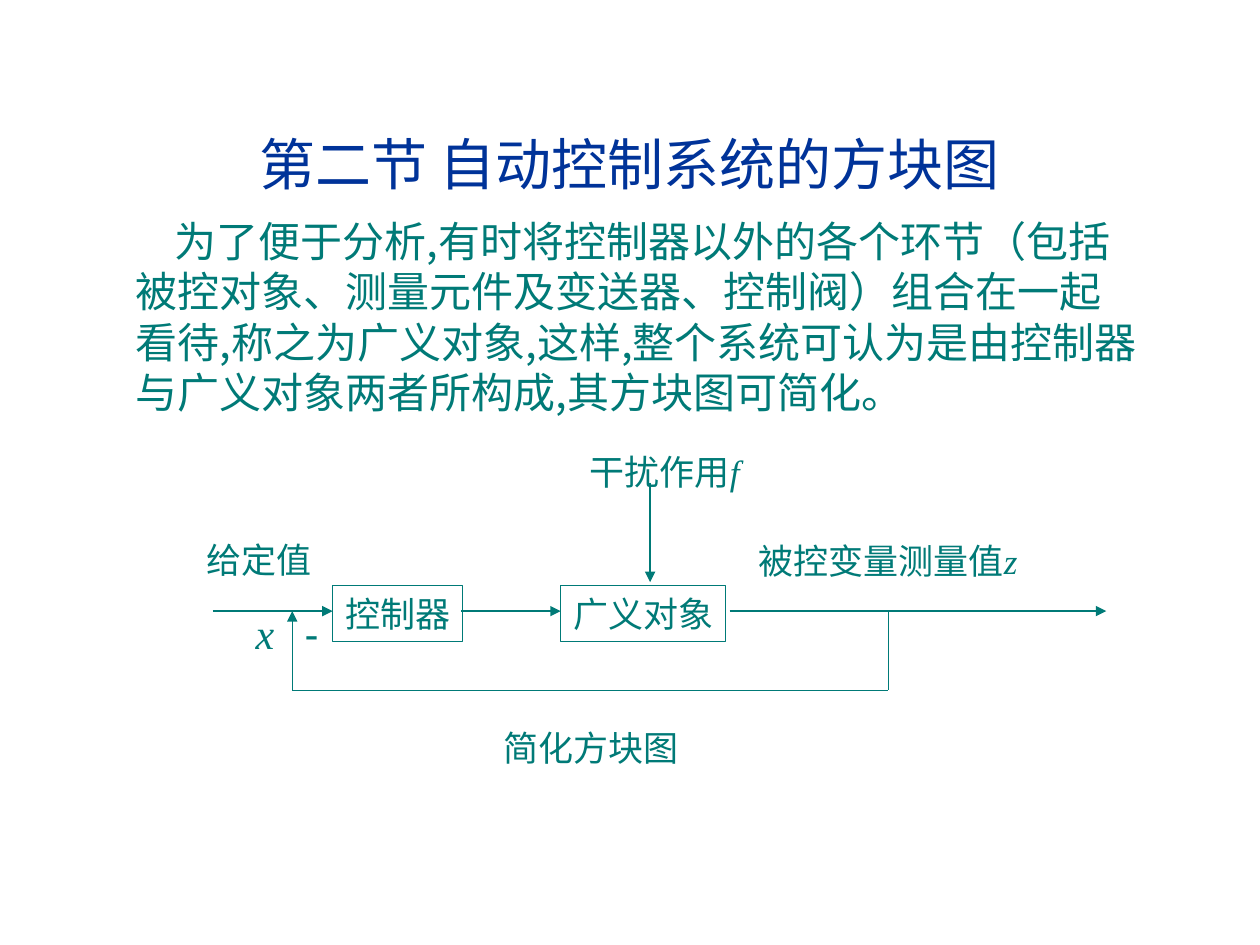
from dataclasses import dataclass

from lxml import etree
from pptx import Presentation
from pptx.dml.color import RGBColor
from pptx.enum import shapes, text
from pptx.oxml import ns
from pptx.util import Inches, Pt


@dataclass(frozen=True)
class Theme:
    title: RGBColor = RGBColor(0x00, 0x33, 0x99)
    ink: RGBColor = RGBColor(0x00, 0x7A, 0x77)
    title_size: int = 32
    body_size: int = 24
    label_size: int = 20
    line_width: float = 0.75
    sans: str = "Arial"
    cjk: str = "Noto Sans CJK SC"
    serif: str = "Times New Roman"


THEME = Theme()


@dataclass(frozen=True)
class Label:
    words: str
    left: float
    top: float
    width: float
    height: float = 0.44
    symbol: str = ""  # italic variable after the words
    size: int = THEME.label_size
    color: RGBColor = THEME.ink
    font: str = THEME.sans
    wrap: bool = False
    framed: bool = False
    anchor: text.MSO_ANCHOR = text.MSO_ANCHOR.MIDDLE
    align: text.PP_ALIGN = text.PP_ALIGN.LEFT
    indent: float = 0


@dataclass(frozen=True)
class Link:
    start: tuple[float, float]
    end: tuple[float, float]
    arrow: bool = True


def draw_label(slide, label: Label) -> None:
    place = [Inches(v) for v in (label.left, label.top, label.width, label.height)]
    if label.framed:
        holder = slide.shapes.add_shape(shapes.MSO_SHAPE.RECTANGLE, *place)
        holder.shadow.inherit = False
        holder.fill.background()
        holder.line.color.rgb = THEME.ink
        holder.line.width = Pt(THEME.line_width)
    else:
        holder = slide.shapes.add_textbox(*place)

    frame = holder.text_frame
    frame.word_wrap = label.wrap
    frame.auto_size = text.MSO_AUTO_SIZE.NONE
    frame.vertical_anchor = label.anchor
    if not label.wrap:
        frame.margin_right = Inches(0.05)  # room to keep the label on one line

    line = frame.paragraphs[0]
    line.alignment = label.align
    if label.indent:
        line._p.get_or_add_pPr().set("indent", str(Inches(label.indent)))
    line.font.size = Pt(label.size)
    line.font.color.rgb = label.color
    line.font.name = label.font
    if label.words:
        line.add_run().text = label.words
    if label.symbol:
        variable = line.add_run()
        variable.text = label.symbol
        variable.font.name = THEME.serif
        variable.font.italic = True


def draw_link(slide, link: Link) -> None:
    points = [Inches(v) for v in (*link.start, *link.end)]
    connector = slide.shapes.add_connector(shapes.MSO_CONNECTOR.STRAIGHT, *points)
    connector.line.color.rgb = THEME.ink
    connector.line.width = Pt(THEME.line_width)
    if link.arrow:
        outline = connector.line._get_or_add_ln()
        etree.SubElement(outline, ns.qn("a:tailEnd"), type="triangle")
    etree.SubElement(connector._element.spPr, ns.qn("a:effectLst"))


# Heading and explanation
PROSE = [
    Label("第二节 自动控制系统的方块图", 0.33, 0.67, 9.34, 1.25, size=THEME.title_size,
          color=THEME.title, wrap=True, align=text.PP_ALIGN.CENTER),
    Label("为了便于分析,有时将控制器以外的各个环节（包括被控对象、测量元件及变送器、"
          "控制阀）组合在一起看待,称之为广义对象,这样,整个系统可认为是由控制器与"
          "广义对象两者所构成,其方块图可简化。", 0.98, 1.66, 8.19, 2.1,
          size=THEME.body_size, font=THEME.cjk, wrap=True,
          anchor=text.MSO_ANCHOR.TOP, indent=0.31),
]

# Blocks, signal names and caption
DIAGRAM = [
    Label("控制器", 2.64, 4.65, 1.03, framed=True),
    Label("广义对象", 4.45, 4.65, 1.31, framed=True),
    Label("被控变量测量值", 5.92, 4.23, 2.32, symbol="z"),
    Label("给定值", 1.54, 4.22, 1.03),
    Label("干扰作用", 4.58, 3.52, 1.45, symbol="f"),
    Label("-", 2.32, 4.77, 0.31, 0.5, size=THEME.body_size, wrap=True),
    Label("", 1.93, 4.77, 0.35, 0.5, symbol="x", size=THEME.body_size),
    Label("简化方块图", 3.9, 5.72, 2.76, font=THEME.cjk, wrap=True,
          anchor=text.MSO_ANCHOR.TOP),
]

# Signal path and feedback loop
SIGNAL_Y, FEEDBACK_Y = 4.85, 5.48
SUM_X, BRANCH_X, DISTURBANCE_X = 2.32, 7.05, 5.16
LINKS = [
    Link((1.69, SIGNAL_Y), (2.64, SIGNAL_Y)),
    Link((3.66, SIGNAL_Y), (4.45, SIGNAL_Y)),
    Link((5.79, SIGNAL_Y), (8.78, SIGNAL_Y)),
    Link((DISTURBANCE_X, 3.83), (DISTURBANCE_X, 4.62)),
    Link((BRANCH_X, SIGNAL_Y), (BRANCH_X, FEEDBACK_Y), arrow=False),
    Link((SUM_X, FEEDBACK_Y), (BRANCH_X, FEEDBACK_Y), arrow=False),
    Link((SUM_X, FEEDBACK_Y), (SUM_X, SIGNAL_Y)),
]


def main() -> None:
    deck = Presentation()
    deck.slide_width, deck.slide_height = Inches(10), Inches(7.5)
    slide = deck.slides.add_slide(deck.slide_layouts[6])
    for label in PROSE + DIAGRAM:
        draw_label(slide, label)
    for link in LINKS:
        draw_link(slide, link)
    deck.save("out.pptx")


if __name__ == "__main__":
    main()
